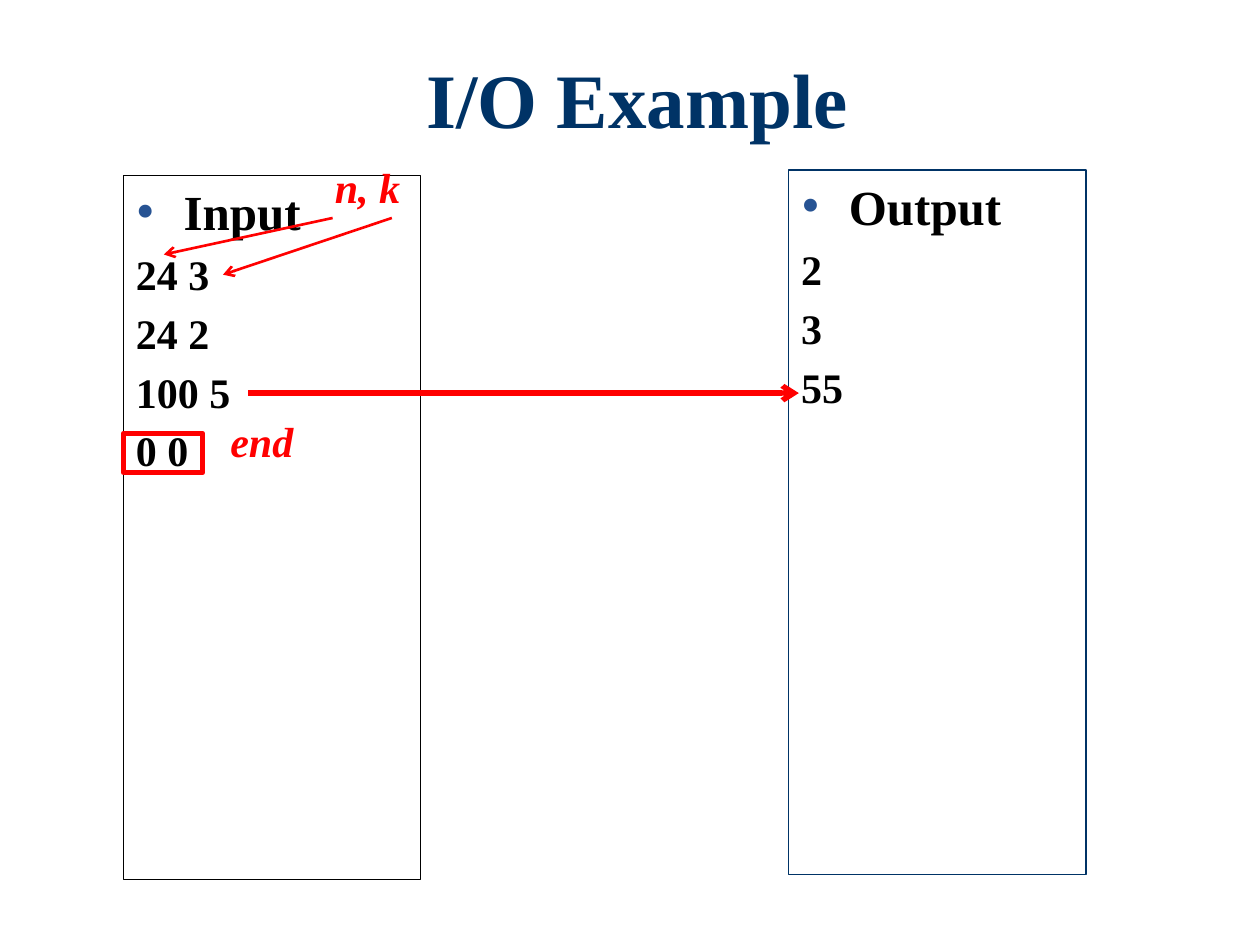
from pptx import Presentation
from pptx.dml.color import RGBColor
from pptx.enum.shapes import MSO_CONNECTOR, MSO_SHAPE
from pptx.enum.text import MSO_ANCHOR, MSO_AUTO_SIZE, PP_ALIGN
from pptx.oxml.ns import qn
from pptx.util import Inches, Pt
from lxml.etree import SubElement

FONT = "Times New Roman"
RED, NAVY, BLACK, WHITE, BULLET_BLUE = "FF0000", "003366", "000000", "FFFFFF", "275393"
PANEL_SIZE = (2.36, 5.59)

# left, top, border colour, heading, lines
PANELS = [
    (0.98, 1.39, BLACK, "Input\u00a0", ["24 3", "24 2", "100 5", "0 0"]),
    (6.26, 1.35, NAVY, "Output\u00a0", ["2", "3", "55"]),
]
END_MARK = (0.98, 3.44, 0.63, 0.31)
LABELS = [("n, k", (2.56, 1.23, 0.73, 0.5)), ("end", (1.73, 3.25, 0.71, 0.5))]
# start, end, width in points
ARROWS = [
    ((2.64, 1.73), (1.3, 2.02), 1.5),
    ((3.11, 1.73), (1.77, 2.18), 1.5),
    ((1.97, 3.12), (6.34, 3.12), 3),
]


def color(value):
    return RGBColor.from_string(value)


def place(shape, box):
    shape.left, shape.top, shape.width, shape.height = map(Inches, box)


def format_runs(paragraph, size, font_color, italic=False):
    for run in paragraph.runs:
        font = run.font
        font.name, font.size = FONT, Pt(size)
        font.bold, font.italic = True, italic
        font.color.rgb = color(font_color)


def add_box(slide, box, line_color, line_width, fill_color=None):
    shape = slide.shapes.add_shape(MSO_SHAPE.RECTANGLE, *map(Inches, box))
    shape.shadow.inherit = False
    if fill_color:
        shape.fill.solid()
        shape.fill.fore_color.rgb = color(fill_color)
    else:
        shape.fill.background()
    shape.line.color.rgb = color(line_color)
    shape.line.width = Pt(line_width)
    return shape


def set_space_before(paragraph, percent):
    """Set spacing before as a share of the line height."""
    space = SubElement(paragraph._p.get_or_add_pPr(), qn("a:spcBef"))
    SubElement(space, qn("a:spcPct"), val=str(percent * 1000))


def add_bullet(paragraph):
    properties = paragraph._p.get_or_add_pPr()
    properties.set("marL", str(Inches(0.38)))
    properties.set("indent", str(Inches(-0.38)))
    bullet_color = SubElement(properties, qn("a:buClr"))
    SubElement(bullet_color, qn("a:srgbClr"), val=BULLET_BLUE)
    SubElement(properties, qn("a:buSzPct"), val="110000")
    SubElement(properties, qn("a:buFont"), typeface=FONT)
    SubElement(properties, qn("a:buChar"), char="•")


def add_panel(slide, left, top, border, heading, lines):
    panel = add_box(slide, (left, top, *PANEL_SIZE), border, 0.75, WHITE)
    frame = panel.text_frame
    frame.vertical_anchor = MSO_ANCHOR.TOP
    frame.text = "\n".join([heading, *lines])
    for index, paragraph in enumerate(frame.paragraphs):
        paragraph.alignment = PP_ALIGN.LEFT
        set_space_before(paragraph, 20)
        format_runs(paragraph, 24 if index else 28, BLACK)
    add_bullet(frame.paragraphs[0])


def add_label(slide, text, box):
    frame = slide.shapes.add_textbox(*map(Inches, box)).text_frame
    frame.word_wrap = False
    frame.auto_size = MSO_AUTO_SIZE.SHAPE_TO_FIT_TEXT
    frame.text = text
    format_runs(frame.paragraphs[0], 24, RED, italic=True)


def add_arrow(slide, start, end, width):
    arrow = slide.shapes.add_connector(
        MSO_CONNECTOR.STRAIGHT, *map(Inches, (*start, *end)))
    arrow.line.color.rgb = color(RED)
    arrow.line.width = Pt(width)
    SubElement(arrow.line._get_or_add_ln(), qn("a:tailEnd"), type="arrow")
    SubElement(arrow._element.spPr, qn("a:effectLst"))


def main():
    presentation = Presentation()
    presentation.slide_width, presentation.slide_height = Inches(10), Inches(7.5)
    slide = presentation.slides.add_slide(presentation.slide_layouts[5])

    title = slide.shapes.title
    place(title, (1.06, 0.36, 8, 0.92))
    title.text_frame.text = "I/O Example"
    title.text_frame.vertical_anchor = MSO_ANCHOR.MIDDLE
    paragraph = title.text_frame.paragraphs[0]
    paragraph.alignment = PP_ALIGN.CENTER
    paragraph.line_spacing = 0.9
    format_runs(paragraph, 44, NAVY)

    for panel in PANELS:
        add_panel(slide, *panel)
    add_box(slide, END_MARK, RED, 3)
    for label in LABELS:
        add_label(slide, *label)
    for arrow in ARROWS:
        add_arrow(slide, *arrow)

    presentation.save("out.pptx")


if __name__ == "__main__":
    main()
